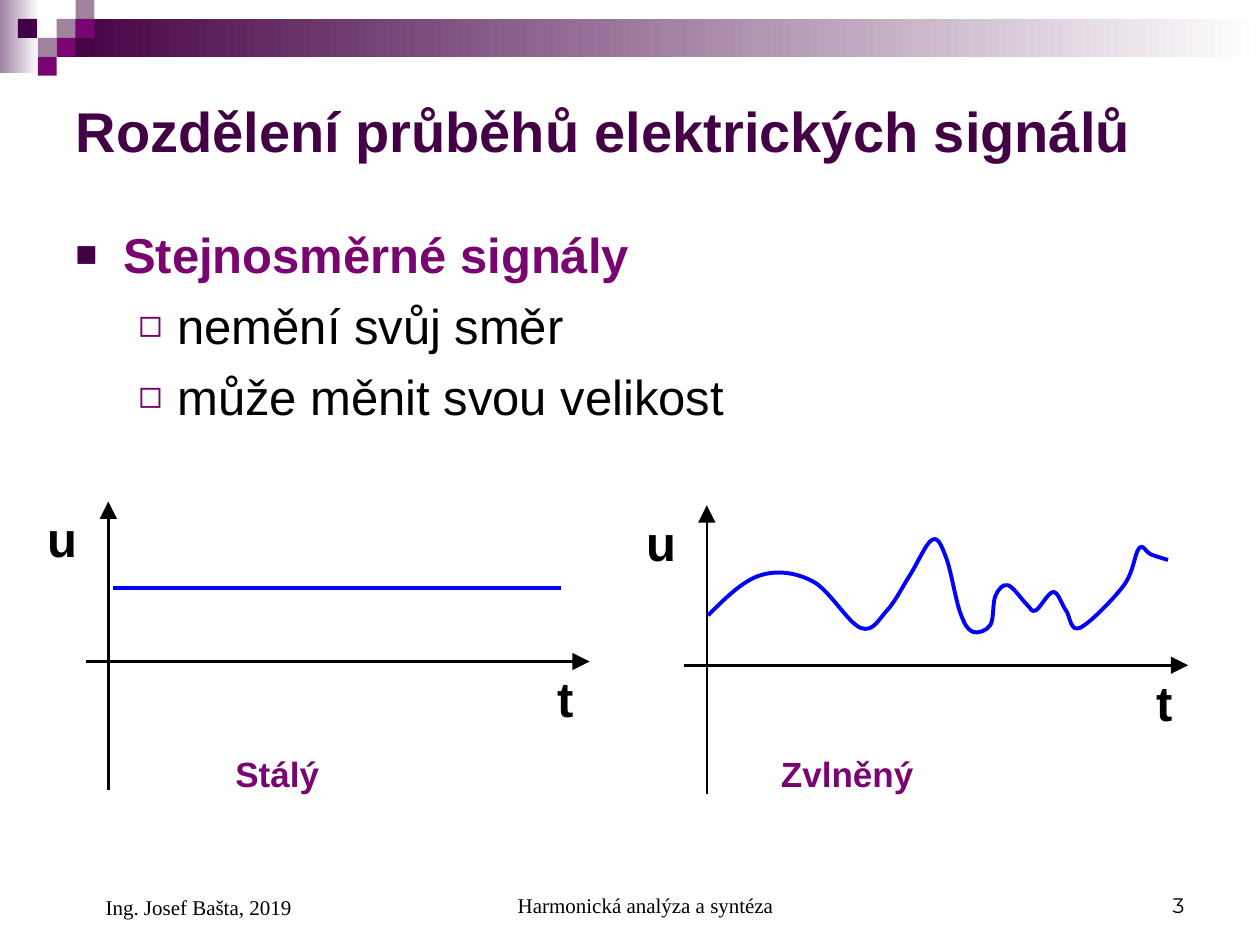
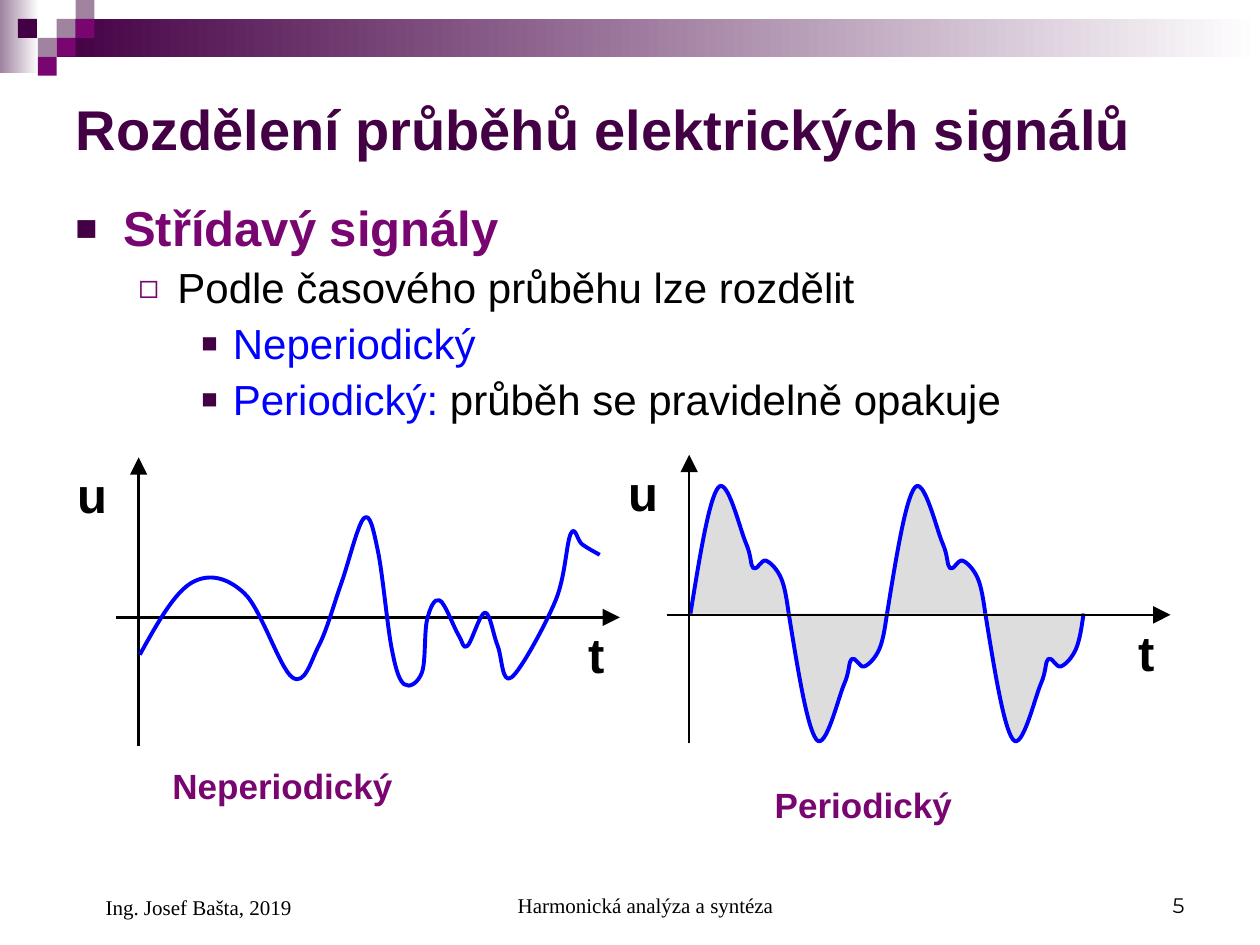
from lxml import etree
from pptx import Presentation
from pptx.dml.color import RGBColor
from pptx.enum.shapes import MSO_CONNECTOR, MSO_SHAPE
from pptx.enum.text import MSO_ANCHOR, PP_ALIGN
from pptx.oxml.ns import qn
from pptx.util import Inches, Pt

RECTANGLE, STRAIGHT = MSO_SHAPE.RECTANGLE, MSO_CONNECTOR.STRAIGHT
TOP, MIDDLE, BOTTOM = MSO_ANCHOR.TOP, MSO_ANCHOR.MIDDLE, MSO_ANCHOR.BOTTOM
LEFT, CENTER, RIGHT = PP_ALIGN.LEFT, PP_ALIGN.CENTER, PP_ALIGN.RIGHT

COLORS = {"white": "FFFFFF", "dark": "440044", "purple": "790571", "mauve": "9F839F",
          "black": "000000", "blue": "0000FF", "gray": "DDDDDD"}

# ---- Content ----
TITLE = "Rozdělení průběhů elektrických signálů"

# Body lines: level, size, runs of (text, colour)
SLIDES = [
    {
        "number": "3",
        "title_top": 0.52,
        "body": {"box": (0.5, 1.73, 9, 1.93), "line_spacing": 1, "space": 7, "lines": [
            (0, 28, [("Stejnosměrné signály", "purple")]),
            (1, 28, [("nemění svůj směr", "black")]),
            (1, 28, [("může měnit svou velikost", "black")]),
        ]},
        "charts": [
            {"axis": (0.68, 5.25), "signal": "constant", "rise": 0.58},
            {"axis": (5.43, 5.28), "signal": "irregular", "rise": 1.02, "height": 0.77},
        ],
        "captions": [("Stálý", 1.77, 5.92, 2.7), ("Zvlněný", 6.1, 5.92, 2.7)],
    },
    {
        "number": "5",
        "title_top": 0.5,
        "body": {"box": (0.5, 1.57, 8.62, 1.98), "line_spacing": 0.9, "space": 6, "lines": [
            (0, 28, [("Střídavý signály", "purple")]),
            (1, 24, [("Podle časového průběhu lze rozdělit", "black")]),
            (2, 24, [("Neperiodický", "blue")]),
            (2, 24, [("Periodický:", "blue"), (" průběh se pravidelně opakuje", "black")]),
        ]},
        "charts": [
            {"axis": (5.29, 4.88), "signal": "periodic"},
            {"axis": (0.92, 4.9), "signal": "irregular", "rise": 0.83, "height": 1.39},
        ],
        "captions": [("Periodický", 6.05, 6.17, 3.21), ("Neperiodický", 1.27, 6.02, 3.21)],
    },
]

# Footer: text (None for the slide number), box, alignment, font, left indent
FOOTERS = [
    ("Harmonická analýza a syntéza", (3.42, 6.83, 3.17, 0.5), CENTER, "Times New Roman", 0.24),
    (None, (7.17, 6.83, 2.33, 0.5), RIGHT, "Montserrat", 0),
    ("Ing. Josef Bašta, 2019", (0.5, 6.83, 2.33, 0.52), LEFT, "Times New Roman", 0.24),
]

# Per level: text indent, hanging, character, colour, size in percent
BULLETS = [(0.38, 0.38, "■", "dark", 75), (0.81, 0.31, "◻", "purple", 80),
           (1.25, 0.25, "■", "dark", 65)]

# Band and squares: squares sit on a grid of columns and rows
GRADIENTS = [((0, 0, 0.31, 0.58), "mauve"), ((0.45, 0.15, 9.55, 0.3), "dark")]
SQUARE = 0.15
SQUARES = [(3, 1, "mauve"), (4, 0, "mauve"), (4, 1, "purple"), (2, 2, "mauve"),
           (0.95, 1, "dark"), (3, 2, "purple"), (2, 3, "purple")]

# Irregular signal: inches across, share of the height down
IRREGULAR = [(0, 0.81), (0.41, 0.4), (0.83, 0.46), (1.21, 0.94), (1.42, 0.76), (1.6, 0.4),
             (1.78, 0.03), (1.89, 0.22), (2, 0.78), (2.1, 0.98), (2.24, 0.91), (2.28, 0.61),
             (2.38, 0.5), (2.53, 0.7), (2.6, 0.76), (2.74, 0.57), (2.84, 0.76), (2.95, 0.94),
             (3.3, 0.5), (3.42, 0.12), (3.51, 0.18), (3.65, 0.24)]
# Half a period: inches across, inches away from the axis
HALF_WAVE = [(0, 0), (0.22, 1), (0.44, 0.56), (0.5, 0.36), (0.6, 0.42), (0.72, 0.28),
             (0.78, 0)]
HALF_PERIOD = 0.78


# ---- Helpers ----
def color(name):
    return RGBColor.from_string(COLORS[name])


def set_font(font, size, color_name, name="Arial", bold=False):
    font.size, font.name, font.bold = Pt(size), name, bold
    font.color.rgb = color(color_name)


def add_text_box(slide, box, anchor=TOP):
    frame = slide.shapes.add_textbox(*map(Inches, box)).text_frame
    frame.word_wrap, frame.vertical_anchor = True, anchor
    return frame


def add_label(slide, text, box, size, color_name):
    paragraph = add_text_box(slide, box).paragraphs[0]
    paragraph.text = text
    set_font(paragraph.font, size, color_name, bold=True)


def add_line(slide, start, end, color_name, width, arrow=False):
    line = slide.shapes.add_connector(STRAIGHT, *map(Inches, (*start, *end)))
    line.line.color.rgb, line.line.width = color(color_name), Pt(width)
    if arrow:
        outline = line.element.spPr.find(qn("a:ln"))
        etree.SubElement(outline, qn("a:tailEnd"), type="triangle", w="lg", len="lg")
    etree.SubElement(line.element.spPr, qn("a:effectLst"))


def curve_handles(points):
    """Give the two control points of each smooth segment, with relaxed ends."""
    def handle(point, toward, away):
        return tuple(p + (t - a) / 6 for p, t, a in zip(point, toward, away))

    def middle(first, second):
        return tuple((a + b) / 2 for a, b in zip(first, second))

    last = len(points) - 2
    handles = []
    for i in range(last + 1):
        start, end = points[i], points[i + 1]
        leave = handle(start, end, points[i - 1]) if i > 0 else None
        arrive = handle(end, start, points[i + 2]) if i < last else middle(leave, end)
        handles.append((leave or middle(start, arrive), arrive))
    return handles


def add_curve(slide, points, fill=None):
    points = [(Inches(x), Inches(y)) for x, y in points]
    builder = slide.shapes.build_freeform(*points[0])
    builder.add_line_segments(points[1:], close=False)
    curve = builder.convert_to_shape()
    # Turn each straight segment into a cubic one
    segments = list(curve.element.iter(qn("a:lnTo")))
    for segment, handles in zip(segments, curve_handles(points)):
        segment.tag = qn("a:cubicBezTo")
        for index, (x, y) in enumerate(handles):
            point = etree.Element(qn("a:pt"), x=str(round(x - curve.left)),
                                  y=str(round(y - curve.top)))
            segment.insert(index, point)
    curve.shadow.inherit = False
    curve.line.color.rgb, curve.line.width = color("blue"), Pt(2.25)
    if fill:
        curve.fill.solid()
        curve.fill.fore_color.rgb = color(fill)
    else:
        curve.fill.background()


# ---- Parts of a slide ----
def add_axes(slide, x, y):
    add_line(slide, (x, y), (x + 4, y), "black", 1.5, arrow=True)
    add_line(slide, (x + 0.18, y + 1.02), (x + 0.18, y - 1.27), "black", 1.5, arrow=True)
    add_label(slide, "u", (x - 0.4, y - 1.26, 0.67, 0.57), 28, "black")
    add_label(slide, "t", (x + 3.65, y + 0.01, 0.45, 0.57), 28, "black")


def add_chart_drawing(slide, chart):
    x, y = chart["axis"]
    if chart["signal"] == "periodic":
        for half in range(4):
            sign = (-1) ** half
            left = x + 0.19 + half * HALF_PERIOD
            add_curve(slide, [(left + dx, y - 0.01 - sign * dy) for dx, dy in HALF_WAVE], "gray")
    add_axes(slide, x, y)
    if chart["signal"] == "constant":
        level = y - chart["rise"]
        add_line(slide, (x + 0.22, level), (x + 3.77, level), "blue", 2.25)
    elif chart["signal"] == "irregular":
        top = y - chart["rise"]
        add_curve(slide, [(x + 0.19 + dx, top + share * chart["height"])
                          for dx, share in IRREGULAR])


def add_bullet(paragraph, level):
    indent, hanging, character, color_name, percent = BULLETS[level]
    paragraph.level = level
    properties = paragraph._p.get_or_add_pPr()
    properties.set("marL", str(Inches(indent)))
    properties.set("indent", str(-Inches(hanging)))
    bullet_color = etree.SubElement(properties, qn("a:buClr"))
    etree.SubElement(bullet_color, qn("a:srgbClr"), val=COLORS[color_name])
    etree.SubElement(properties, qn("a:buSzPct"), val=str(percent * 1000))
    etree.SubElement(properties, qn("a:buFont"), typeface="Arial")
    etree.SubElement(properties, qn("a:buChar"), char=character)


def add_body(slide, body):
    frame = add_text_box(slide, body["box"])
    for index, (level, size, runs) in enumerate(body["lines"]):
        paragraph = frame.add_paragraph() if index else frame.paragraphs[0]
        add_bullet(paragraph, level)
        paragraph.line_spacing = body["line_spacing"]
        if index:
            paragraph.space_before = Pt(body["space"])
        set_font(paragraph.font, size, runs[0][1], bold=level == 0)
        for text, color_name in runs:
            run = paragraph.add_run()
            run.text = text
            if color_name != runs[0][1]:
                run.font.color.rgb = color(color_name)


def add_title(slide, top):
    title = slide.shapes.title
    title.left, title.top, title.width, title.height = map(Inches, (0.5, top, 9, 1.03))
    frame = title.text_frame
    frame.text, frame.vertical_anchor = TITLE, MIDDLE
    frame.paragraphs[0].alignment = LEFT
    set_font(frame.paragraphs[0].font, 32, "dark", bold=True)


def add_footers(slide, number):
    for text, box, alignment, font_name, indent in FOOTERS:
        paragraph = add_text_box(slide, box, BOTTOM).paragraphs[0]
        paragraph.text, paragraph.alignment = text or number, alignment
        paragraph._p.get_or_add_pPr().set("marL", str(Inches(indent)))
        set_font(paragraph.font, 12, "black", font_name)


def decorate_layout(layout, slide):
    """Draw the band and squares, then move them behind everything on the layout."""
    for placeholder in list(layout.placeholders)[1:]:
        placeholder.element.getparent().remove(placeholder.element)
    squares = [((column * SQUARE, row * SQUARE, SQUARE, SQUARE), name)
               for column, row, name in SQUARES]
    for index, (box, color_name) in enumerate(GRADIENTS + squares):
        shape = slide.shapes.add_shape(RECTANGLE, *map(Inches, box))
        shape.shadow.inherit = False
        shape.line.fill.background()
        if index < len(GRADIENTS):
            shape.fill.gradient()
            shape.fill.gradient_angle = 180
            for stop, name in zip(shape.fill.gradient_stops, ("white", color_name)):
                stop.color.rgb = color(name)
        else:
            shape.fill.solid()
            shape.fill.fore_color.rgb = color(color_name)
        # Identifiers 1 and 2 belong to the layout's tree and title
        shape.element.nvSpPr.cNvPr.set("id", str(3 + index))
        layout.shapes.element.insert(2 + index, shape.element)


def main():
    presentation = Presentation()
    presentation.slide_width, presentation.slide_height = Inches(10), Inches(7.5)
    layout = presentation.slide_layouts[5]
    for index, content in enumerate(SLIDES):
        slide = presentation.slides.add_slide(layout)
        if index == 0:
            decorate_layout(layout, slide)
        add_title(slide, content["title_top"])
        add_body(slide, content["body"])
        for chart in content["charts"]:
            add_chart_drawing(slide, chart)
        for text, left, top, width in content["captions"]:
            add_label(slide, text, (left, top, width, 0.44), 20, "purple")
        add_footers(slide, content["number"])
    presentation.save("out.pptx")


if __name__ == "__main__":
    main()
